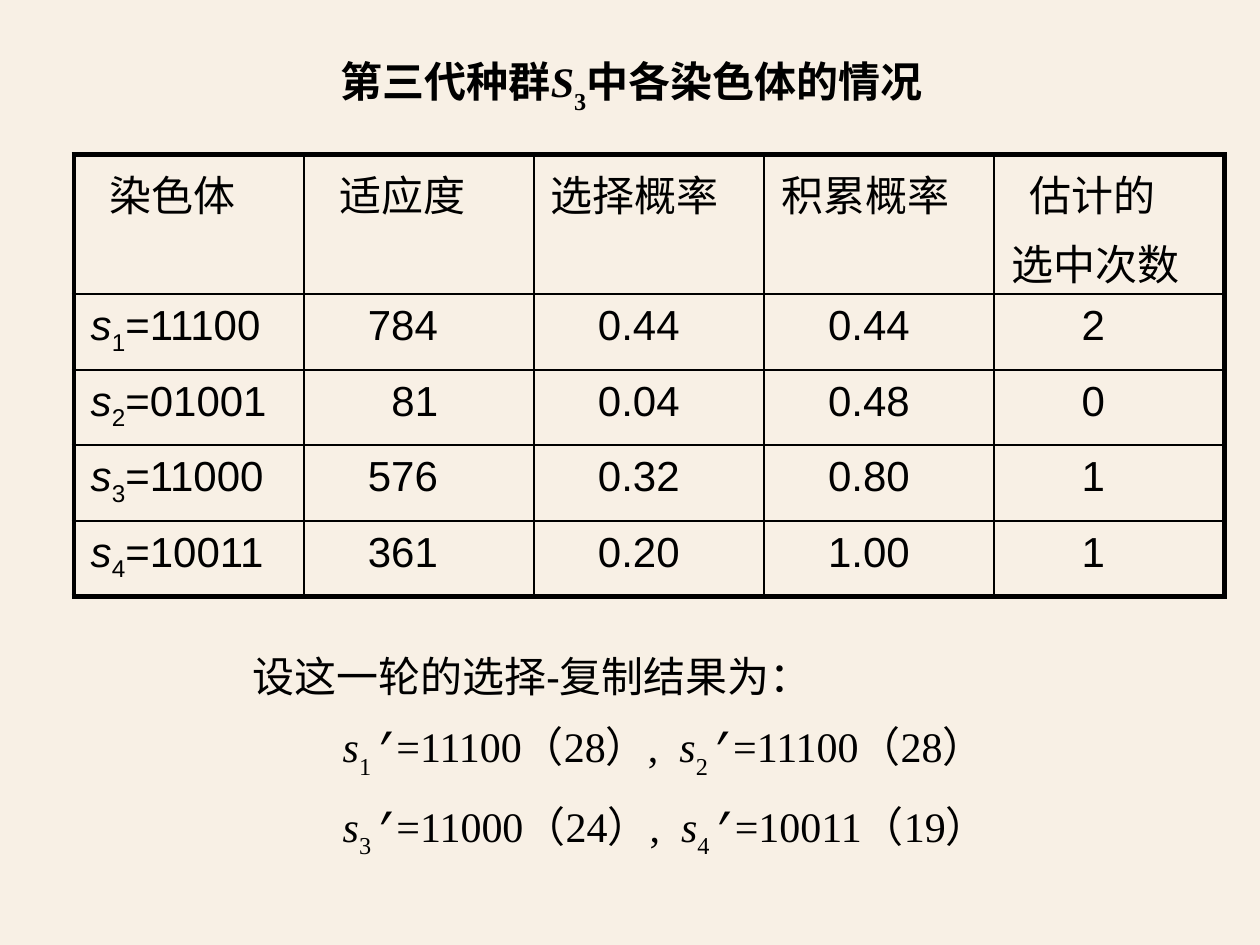
"""Build the slide on the third-generation population and its selection result."""
from lxml import etree
from pptx import Presentation, util as u
from pptx.dml.color import RGBColor
from pptx.enum import text
from pptx.oxml import parse_xml
from pptx.oxml.ns import nsdecls, qn

BLACK = RGBColor(0x00, 0x00, 0x00)
CREAM = RGBColor(0xF8, 0xF0, 0xE5)
HAN, SANS, SERIF, MONO = "Noto Sans CJK SC", "Arial", "Times New Roman", "Courier New"
WIDTH = 7.5
HEIGHT = WIDTH * 3 / 4
COLUMN, HEADER_ROW, DATA_ROW = 1.37, 0.83, 0.45
CELL_MARGIN = 0.1
GAP_BEFORE = u.Pt(3.6)


def add_run(paragraph, content, font=SANS, italic=False, baseline=0, bold=False):
    run = paragraph.add_run()
    run.text = content
    run.font.size = u.Pt(18)
    run.font.name = font
    run.font.bold = bold
    run.font.italic = italic
    run.font.color.rgb = BLACK
    properties = run.font._element
    etree.SubElement(properties, qn("a:ea")).set("typeface", HAN)
    if baseline:
        properties.set("baseline", str(baseline * 1000))


def add_border(cell, side, points):
    cell._tc.get_or_add_tcPr().append(parse_xml(
        f'<a:ln{side} {nsdecls("a")} w="{u.Pt(points)}"><a:solidFill>'
        f'<a:srgbClr val="{BLACK}"/></a:solidFill></a:ln{side}>'))


presentation = Presentation()
presentation.slide_width, presentation.slide_height = u.Inches(WIDTH), u.Inches(HEIGHT)
slide = presentation.slides.add_slide(presentation.slide_layouts[1])
slide.background.fill.solid()
slide.background.fill.fore_color.rgb = CREAM
title, body = slide.placeholders

for shape, left, top, width, height in (
    (title, 1.67, 0.28, 4.18, 0.4),
    (body, 1.07, 3.76, 5.45, 1.31),
):
    shape.left, shape.top = u.Inches(left), u.Inches(top)
    shape.width, shape.height = u.Inches(width), u.Inches(height)
    shape.text_frame.auto_size = text.MSO_AUTO_SIZE.NONE
    shape.text_frame.vertical_anchor = text.MSO_ANCHOR.TOP
    shape.text_frame.word_wrap = True

heading = title.text_frame.paragraphs[0]
heading.alignment = text.PP_ALIGN.CENTER
add_run(heading, "第三代种群", HAN, bold=True)
add_run(heading, "S", SERIF, italic=True, bold=True)
add_run(heading, "3", SERIF, baseline=-30, bold=True)
add_run(heading, "中各染色体的情况", HAN, bold=True)

headers = ["染色体", "适应度", "选择概率", "积累概率", "估计的\n选中次数"]
population = [
    ("11100", "784", "0.44", "0.44", "2"),
    ("01001", "81", "0.04", "0.48", "0"),
    ("11000", "576", "0.32", "0.80", "1"),
    ("10011", "361", "0.20", "1.00", "1"),
]
header_indents = {"染色体": 0.11, "适应度": 0.11, "估计的": 0.11}
data_indents = {"81": 0.42, "0": 0.42, "1": 0.42, "2": 0.42}
rows, columns = len(population) + 1, len(headers)
table = slide.shapes.add_table(
    rows, columns, u.Inches(0.44), u.Inches(0.92), u.Inches(COLUMN * columns),
    u.Inches(HEADER_ROW + DATA_ROW * len(population))).table
table.first_row = table.horz_banding = False
for column in table.columns:
    column.width = u.Inches(COLUMN)
for row_index, values in enumerate([headers, *population]):
    table.rows[row_index].height = u.Inches(DATA_ROW if row_index else HEADER_ROW)
    for column_index, value in enumerate(values):
        cell = table.cell(row_index, column_index)
        cell.margin_left = cell.margin_right = u.Inches(CELL_MARGIN)
        cell.margin_top = u.Inches(CELL_MARGIN / 2)
        cell.margin_bottom = u.Inches(CELL_MARGIN / 2 if row_index else 0)
        for line_index, line in enumerate(value.split("\n")):
            frame = cell.text_frame
            paragraph = frame.add_paragraph() if line_index else frame.paragraphs[0]
            paragraph.space_before = GAP_BEFORE
            if row_index and column_index == 0:
                add_run(paragraph, "s", italic=True)
                add_run(paragraph, str(row_index), baseline=-25)
                add_run(paragraph, "=" + line)
                continue
            indent = data_indents.get(line, 0.28) if row_index else header_indents.get(line, 0)
            paragraph._p.get_or_add_pPr().set("marL", str(u.Inches(indent)))
            add_run(paragraph, line)
        for side, outer in (("L", column_index == 0), ("R", column_index == columns - 1),
                            ("T", row_index == 0), ("B", row_index == rows - 1)):
            add_border(cell, side, 2.25 if outer else 1)
        cell.fill.background()

selected = [
    [("1", "=11100（28）,  "), ("2", "=11100（28）")],
    [("3", "=11000（24）,  "), ("4", "=10011（19）")],
]
introduction = body.text_frame.paragraphs[0]
add_run(introduction, "设这一轮的选择-复制结果为：")
for pair in selected:
    paragraph = body.text_frame.add_paragraph()
    for number, result in pair:
        add_run(paragraph, "s", SERIF, italic=True)
        add_run(paragraph, number, SERIF, baseline=-30)
        add_run(paragraph, "’", MONO, italic=True)
        add_run(paragraph, result, SERIF)
for paragraph in body.text_frame.paragraphs:
    paragraph.line_spacing = 1.2
    paragraph.space_before = GAP_BEFORE
    properties = paragraph._p.get_or_add_pPr()
    properties.set("marL", str(u.Inches(0.33 if paragraph._p is introduction._p else 0.87)))
    properties.set("indent", "0")
    etree.SubElement(properties, qn("a:buNone"))

presentation.save("out.pptx")
